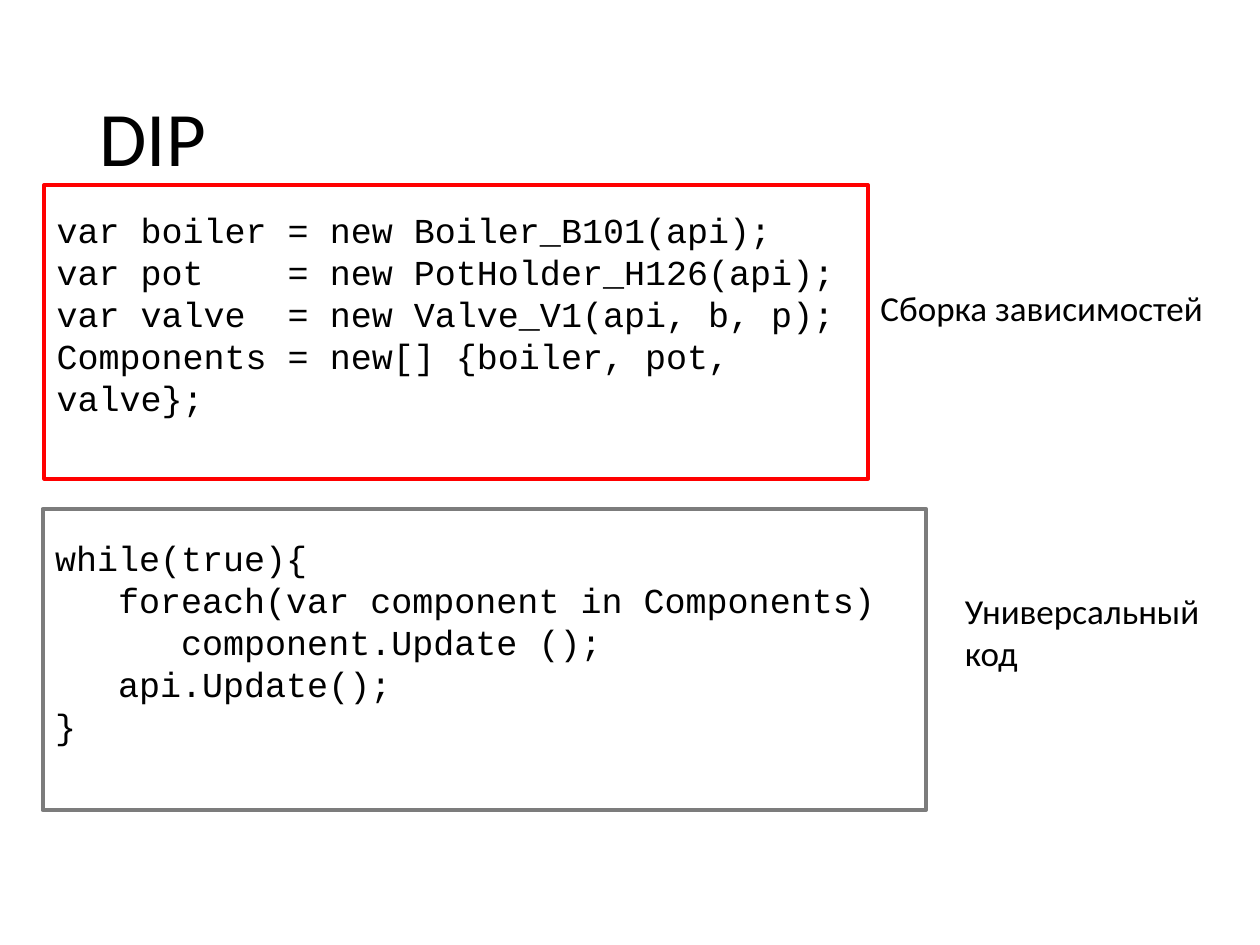
from pptx import Presentation
from pptx.dml.color import RGBColor
from pptx.enum import shapes, text
from pptx.util import Cm, Pt

SETUP_CODE = """var boiler = new Boiler_B101(api);
var pot    = new PotHolder_H126(api);
var valve  = new Valve_V1(api, b, p);
Components = new[] {boiler, pot, valve};"""

LOOP_CODE = """while(true){
   foreach(var component in Components)
      component.Update ();
   api.Update();
}"""


def color(value):
    """Turn a hex string into a colour."""
    return RGBColor.from_string(value)


def style(tf, font, size):
    """Give every paragraph the same left-aligned black font."""
    for p in tf.paragraphs:
        p.alignment = text.PP_ALIGN.LEFT
        p.font.name = font
        p.font.size = Pt(size)
        p.font.color.rgb = color("000000")


def add_title(s, x, y, w, h, words):
    """Fill the title placeholder and place it in its box."""
    sp = s.shapes.title
    sp.left, sp.top, sp.width, sp.height = Cm(x), Cm(y), Cm(w), Cm(h)
    tf = sp.text_frame
    tf.text = words
    tf.vertical_anchor = text.MSO_ANCHOR.MIDDLE
    tf.auto_size = text.MSO_AUTO_SIZE.NONE
    tf.paragraphs[0].line_spacing = 0.9
    style(tf, "Calibri", 44)


def add_code(s, x, y, w, h, code, line):
    """Draw a framed code listing, set a little above the middle."""
    sp = s.shapes.add_shape(shapes.MSO_SHAPE.RECTANGLE, Cm(x), Cm(y), Cm(w), Cm(h))
    sp.shadow.inherit = False
    sp.fill.background()
    sp.line.color.rgb = color(line)
    sp.line.width = Pt(2.25)
    tf = sp.text_frame
    tf.word_wrap = True
    tf.vertical_anchor = text.MSO_ANCHOR.MIDDLE
    tf.margin_bottom = Cm(0.85)
    tf.text = code
    style(tf, "Courier New", 20)


def add_label(s, x, y, w, h, words):
    """Write a caption beside a code listing."""
    tf = s.shapes.add_textbox(Cm(x), Cm(y), Cm(w), Cm(h)).text_frame
    tf.word_wrap = False
    tf.auto_size = text.MSO_AUTO_SIZE.SHAPE_TO_FIT_TEXT
    tf.text = words
    style(tf, "Calibri", 20)


def main():
    """Build the slide and save it."""
    prs = Presentation()
    prs.slide_width, prs.slide_height = Cm(25.4), Cm(19.05)
    s = prs.slides.add_slide(prs.slide_layouts[5])
    add_title(s, 1.75, 1.02, 21.9, 3.68, "DIP")
    add_code(s, 0.89, 3.73, 16.61, 5.92, SETUP_CODE, "FF0000")
    add_label(s, 17.5, 5.66, 7.06, 1.11, "Сборка зависимостей")
    add_code(s, 0.86, 10.26, 17.81, 6.07, LOOP_CODE, "7C7C7C")
    add_label(s, 19.2, 11.76, 5.46, 1.96, "Универсальный \vкод")
    prs.save("out.pptx")


if __name__ == "__main__":
    main()
